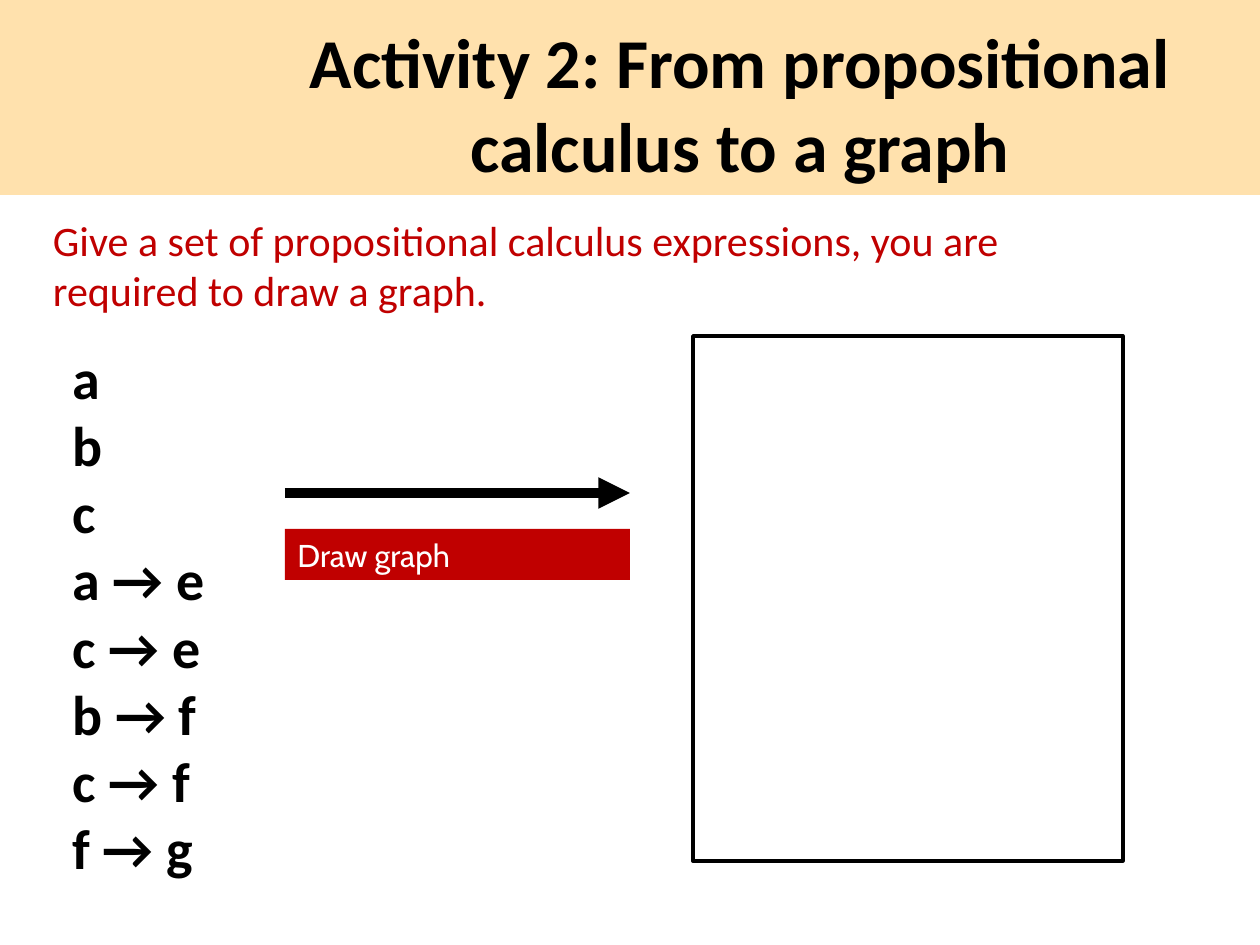
from pptx import Presentation
from pptx import util as u
from pptx.dml.color import RGBColor
from pptx.enum import shapes, text
from pptx.oxml import parse_xml
from pptx.oxml.ns import nsdecls, qn

TITLE = "Activity 2: From propositional calculus to a graph"
TASK = ("Give a set of propositional calculus expressions, "
        "you are required to draw a graph.")
EXPRESSIONS = ["a", "b", "c", "a → e", "c → e", "b → f", "c → f", "f → g"]
STEP = "Draw graph"

COLORS = {"band": "FFE1AD", "ink": "000000", "red": "C00000", "white": "FFFFFF"}
PX = u.Inches(1) // 126
PAGE_WIDTH, PAGE_HEIGHT = 1260, 945
ARROW_LEFT, ARROW_RIGHT, ARROW_Y = 285, 630, 493


def color(name):
    return RGBColor.from_string(COLORS[name])


def scaled(*lengths):
    return [length * PX for length in lengths]


def place(shape, *area):
    shape.left, shape.top, shape.width, shape.height = scaled(*area)


def write(shape, lines, size, ink, font="Calibri", bold=False,
          align=text.PP_ALIGN.LEFT, anchor=text.MSO_ANCHOR.TOP, wrap=True):
    frame = shape.text_frame
    frame.text = "\n".join(lines)
    frame.auto_size = text.MSO_AUTO_SIZE.NONE
    frame.word_wrap = wrap
    frame.vertical_anchor = anchor
    for para in frame.paragraphs:
        para.alignment = align
        para.space_before = u.Pt(0)
        para.font.name = font
        para.font.size = u.Pt(size)
        para.font.bold = bold
        para.font.color.rgb = color(ink)


def remove_bullets(shape):
    for para in shape.text_frame.paragraphs:
        props = para._p.get_or_add_pPr()
        props.set("marL", "0")
        props.set("indent", "0")
        props.append(parse_xml(f"<a:buNone {nsdecls('a')}/>"))


def add_rectangle(page, area, fill=None, line=None):
    box = page.shapes.add_shape(shapes.MSO_SHAPE.RECTANGLE, *scaled(*area))
    box.shadow.inherit = False
    if fill:
        box.fill.solid()
        box.fill.fore_color.rgb = color(fill)
    else:
        box.fill.background()
    if line:
        box.line.color.rgb = color(line)
        box.line.width = u.Pt(2)
    else:
        box.line.fill.background()
    return box


def add_arrow(page, *ends):
    arrow = page.shapes.add_connector(shapes.MSO_CONNECTOR.STRAIGHT, *scaled(*ends))
    arrow.line.color.rgb = color("ink")
    arrow.line.width = u.Pt(6)
    props = arrow._element.spPr
    props.find(qn("a:ln")).append(
        parse_xml(f'<a:tailEnd {nsdecls("a")} type="triangle"/>'))
    props.append(parse_xml(f"<a:effectLst {nsdecls('a')}/>"))


def main():
    deck = Presentation()
    deck.slide_width, deck.slide_height = scaled(PAGE_WIDTH, PAGE_HEIGHT)
    page = deck.slides.add_slide(deck.slide_layouts[1])
    title, body = page.placeholders

    band = add_rectangle(page, (0, 0, PAGE_WIDTH, 195), fill="band")
    title._element.addprevious(band._element)  # behind the title

    place(title, 220, 12, 1040, 136)
    write(title, [TITLE], 40, "ink", bold=True, align=text.PP_ALIGN.CENTER)

    task = page.shapes.add_textbox(*scaled(-6, 208, 1077, 115))
    write(task, [TASK], 24, "red")
    task.text_frame.margin_left = 59 * PX

    add_arrow(page, ARROW_LEFT, ARROW_Y, ARROW_RIGHT, ARROW_Y)
    label = add_rectangle(
        page, (ARROW_LEFT, 529, ARROW_RIGHT - ARROW_LEFT, 51), fill="red")
    write(label, [STEP], 18, "white", font="Cabin", anchor=text.MSO_ANCHOR.MIDDLE)

    place(body, 60, 337, 162, 556)
    write(body, EXPRESSIONS, 32, "ink", bold=True)
    remove_bullets(body)

    add_rectangle(page, (693, 336, 430, 525), line="ink")
    deck.save("out.pptx")


if __name__ == "__main__":
    main()
